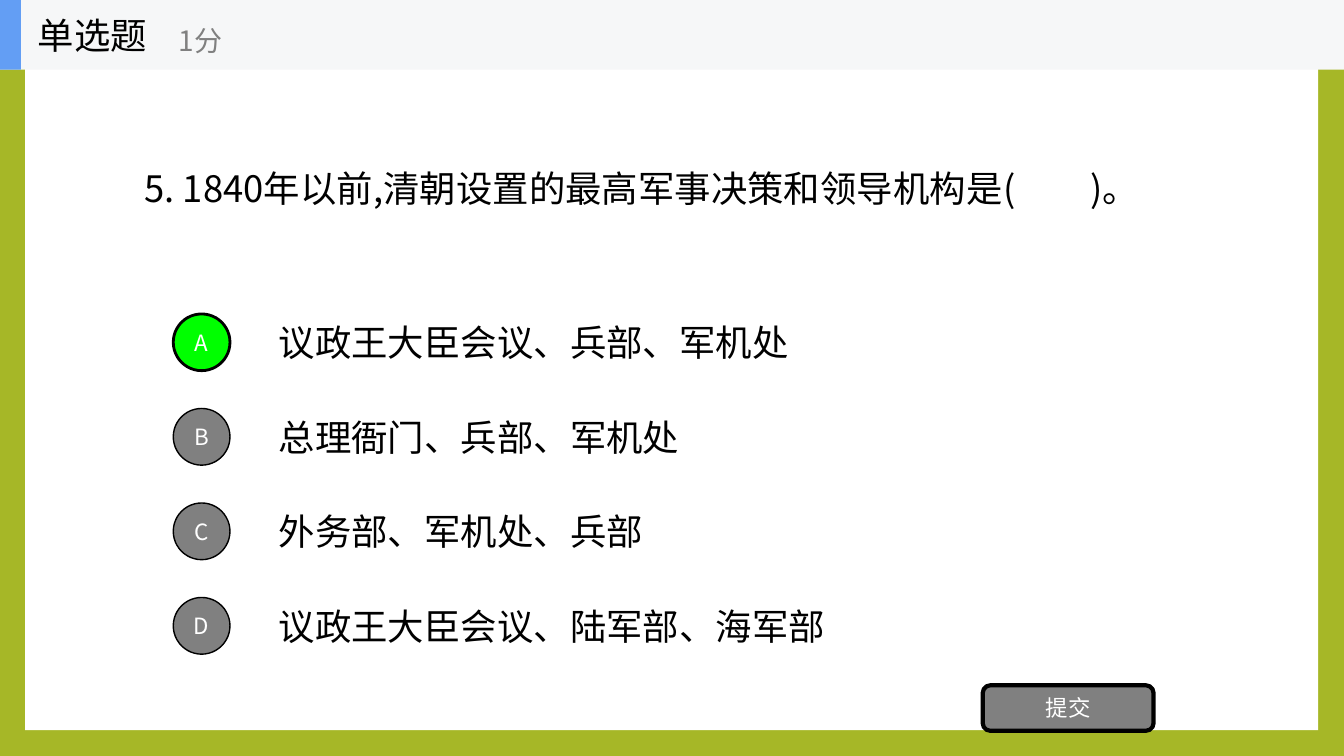
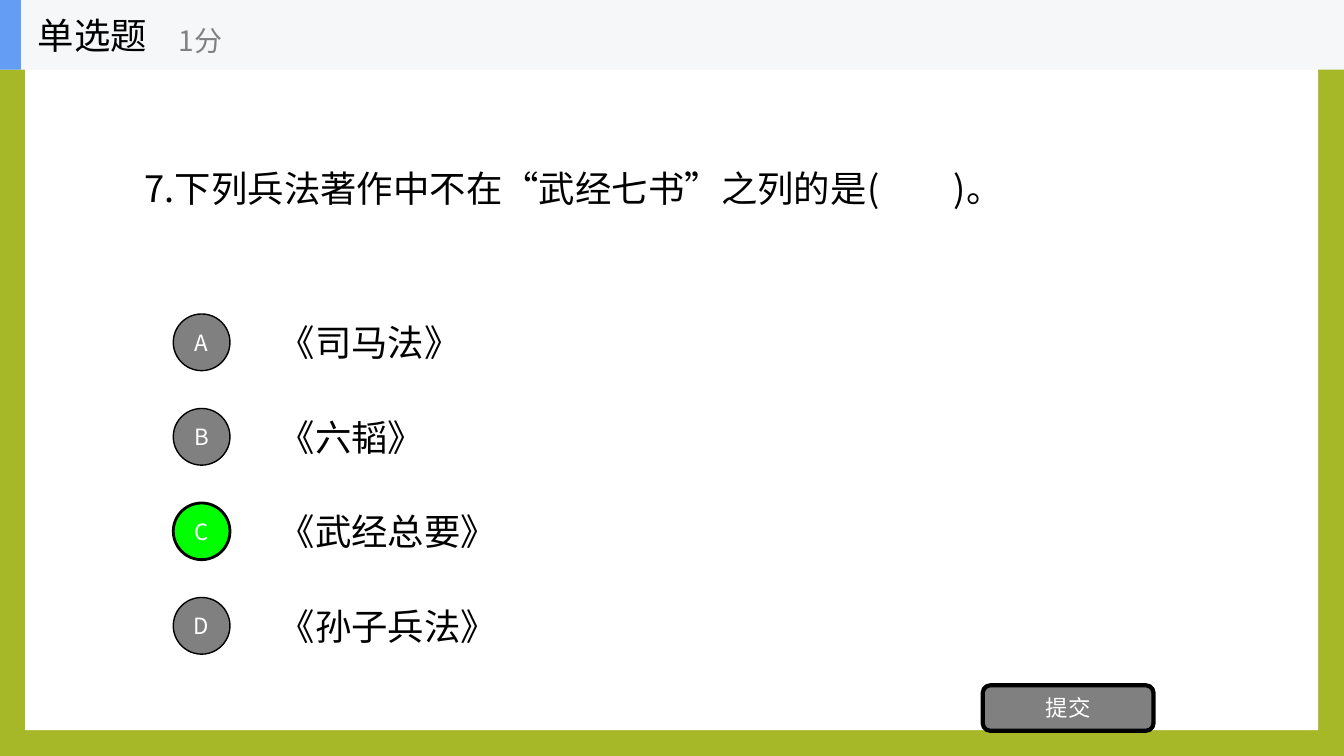
from lxml.etree import SubElement
from pptx import Presentation
from pptx.dml.color import RGBColor
from pptx.enum.shapes import MSO_SHAPE
from pptx.enum.text import MSO_ANCHOR, MSO_AUTO_SIZE, PP_ALIGN
from pptx.oxml.ns import qn
from pptx.util import Pt

# Content: the tab leaves the answer gap, "closing" is where its bracket stands
HEADING, SCORE, SUBMIT = "单选题", "1分", "提交"
QUESTIONS = [
    {
        "stem": "5. 1840年以前,清朝设置的最高军事决策和领导机构是(\t)。",
        "closing": 675.5,
        "options": ["议政王大臣会议、兵部、军机处", "总理衙门、兵部、军机处",
                    "外务部、军机处、兵部", "议政王大臣会议、陆军部、海军部"],
        "answer": "A",
    },
    {
        "stem": "7.下列兵法著作中不在“武经七书”之列的是(\t)。",
        "closing": 578,
        "options": ["《司马法》", "《六韬》", "《武经总要》", "《孙子兵法》"],
        "answer": "C",
    },
]

# Style
FONT = "Noto Sans CJK SC"
OLIVE = RGBColor(0xA6, 0xB7, 0x27)
WHITE = RGBColor(0xFF, 0xFF, 0xFF)
BLACK = RGBColor(0x00, 0x00, 0x00)
GRAY = RGBColor(0x80, 0x80, 0x80)
GREEN = RGBColor(0x00, 0xFF, 0x00)
PALE = RGBColor(0xF6, 0xF7, 0xF8)
BLUE = RGBColor(0x63, 0x9E, 0xF4)
LARGE, MEDIUM, SMALL = 26, 20, 16

# Layout, in points
WIDTH, HEIGHT = 960, 540
BAND = 49.75
LINE = 38
FIRST_CENTER, PITCH = 244.5, 67.5
CIRCLE = 40.5


def place(box, left, top, width, height):
    box.left, box.top, box.width, box.height = map(Pt, (left, top, width, height))


def write(box, text, size, color, align=PP_ALIGN.LEFT, wrap=True):
    frame = box.text_frame
    frame.auto_size = MSO_AUTO_SIZE.NONE
    frame.word_wrap = wrap
    frame.vertical_anchor = MSO_ANCHOR.MIDDLE
    para = frame.paragraphs[0]
    para.alignment = align
    span = para.add_run()
    span.text = text
    span.font.size = Pt(size)
    span.font.name = FONT
    span.font.color.rgb = color
    SubElement(span._r.get_or_add_rPr(), qn("a:ea"), typeface=FONT)
    return para


def add_text(shapes, area, *args, **options):
    box = shapes.add_textbox(*map(Pt, area))
    write(box, *args, **options)


def add_block(shapes, kind, area, fill, border=0):
    block = shapes.add_shape(kind, *map(Pt, area))
    block.shadow.inherit = False
    block.fill.solid()
    block.fill.fore_color.rgb = fill
    if border:
        block.line.color.rgb = BLACK
        block.line.width = Pt(border)
    else:
        block.line.fill.background()
    return block


def add_button(shapes, kind, area, fill, border, text):
    button = add_block(shapes, kind, area, fill, border)
    frame = button.text_frame
    frame.margin_left = frame.margin_right = 0
    frame.margin_top = frame.margin_bottom = 0
    write(button, text, SMALL, WHITE, PP_ALIGN.CENTER)


def add_header(page):
    header = page.shapes.add_group_shape().shapes
    add_block(header, MSO_SHAPE.RECTANGLE, (0, 0, WIDTH, BAND), PALE)
    add_block(header, MSO_SHAPE.RECTANGLE, (0, 0, 15, BAND), BLUE)
    add_text(header, (20, 0, 150, BAND), HEADING, LARGE, BLACK, wrap=False)
    add_text(header, (120.5, 9, 180, 40), SCORE, MEDIUM, GRAY, wrap=False)


def add_question(page, question):
    # Question stem
    title = page.shapes.title
    place(title, 96, 115.5, 740, LINE)
    para = write(title, question["stem"], LARGE, BLACK)
    stops = SubElement(para._p.get_or_add_pPr(), qn("a:tabLst"))
    SubElement(stops, qn("a:tab"), pos=str(Pt(question["closing"])), algn="l")

    # Options, with the right one marked
    for index, (letter, option) in enumerate(zip("ABCD", question["options"])):
        center = FIRST_CENTER + index * PITCH
        right = letter == question["answer"]
        add_text(page.shapes, (192, center - LINE / 2, 420, LINE),
                 option, LARGE, BLACK)
        add_button(page.shapes, MSO_SHAPE.OVAL,
                   (123.75, center - CIRCLE / 2, CIRCLE, CIRCLE),
                   GREEN if right else GRAY, 2 if right else 1, letter)

    add_button(page.shapes, MSO_SHAPE.ROUNDED_RECTANGLE,
               (702, 489.5, 122, 32.5), GRAY, 3, SUBMIT)


def style_master(deck, page):
    # Olive background with a white sheet, shared by every slide
    master = deck.slide_master
    master.background.fill.solid()
    master.background.fill.fore_color.rgb = OLIVE
    sheet = add_block(page.shapes, MSO_SHAPE.RECTANGLE,
                      (18, 19.5, 923.5, 502), WHITE)
    master.shapes.element.insert(2, sheet.element)


def main():
    deck = Presentation()
    deck.slide_width, deck.slide_height = Pt(WIDTH), Pt(HEIGHT)
    title_only = deck.slide_layouts[5]
    pages = [deck.slides.add_slide(title_only) for _ in QUESTIONS]
    style_master(deck, pages[0])
    for page, question in zip(pages, QUESTIONS):
        add_question(page, question)
        add_header(page)
    deck.save("out.pptx")


if __name__ == "__main__":
    main()
